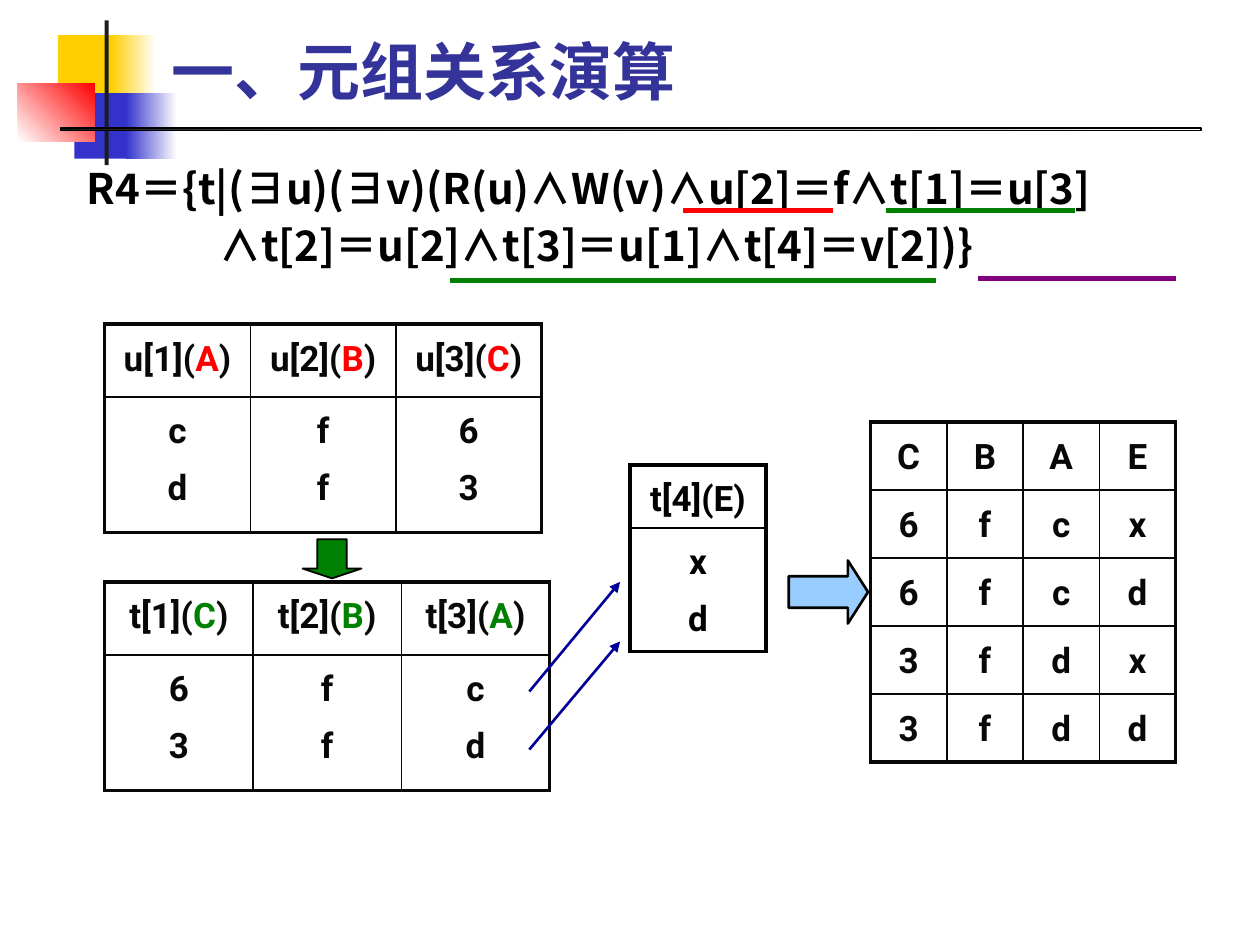
from lxml import etree
from pptx import Presentation
from pptx.dml.color import RGBColor
from pptx.enum.shapes import MSO_CONNECTOR, MSO_SHAPE
from pptx.enum.text import MSO_ANCHOR, PP_ALIGN
from pptx.oxml.ns import qn
from pptx.util import Cm, Pt

RECTANGLE = MSO_SHAPE.RECTANGLE
RIGHT_ARROW = MSO_SHAPE.RIGHT_ARROW
DOWN_ARROW = MSO_SHAPE.DOWN_ARROW
STRAIGHT = MSO_CONNECTOR.STRAIGHT
LEFT, CENTER, JUSTIFY = PP_ALIGN.LEFT, PP_ALIGN.CENTER, PP_ALIGN.JUSTIFY
TOP, BOTTOM = MSO_ANCHOR.TOP, MSO_ANCHOR.BOTTOM

LATIN_FONT = "Roboto"
CHINESE_FONT = "Noto Sans CJK SC"
BLACK, INK, WHITE = "000000", "080808", "FFFFFF"
RED, GREEN, PURPLE, NAVY = "FF0000", "008000", "800080", "000099"


def color(hex_string):
    return RGBColor.from_string(hex_string)


def format_paragraph(paragraph, size, hex_color, font_name, alignment):
    paragraph.alignment = alignment
    font = paragraph.font
    font.size, font.bold, font.name = Pt(size), True, font_name
    font.color.rgb = color(hex_color)
    # East Asian typeface
    properties = paragraph._p.pPr.find(qn("a:defRPr"))
    etree.SubElement(properties, qn("a:ea"), typeface=CHINESE_FONT)


def add_shape(slide, kind, box, fill, line=None, line_width=1):
    """Fill is one hex string, or (start, end, angle) for a gradient."""
    shape = slide.shapes.add_shape(kind, *(Cm(value) for value in box))
    shape.shadow.inherit = False
    if isinstance(fill, tuple):
        start, end, angle = fill
        shape.fill.gradient()
        shape.fill.gradient_angle = angle
        for stop, hex_color in zip(shape.fill.gradient_stops, (start, end)):
            stop.color.rgb = color(hex_color)
    else:
        shape.fill.solid()
        shape.fill.fore_color.rgb = color(fill)
    if line:
        shape.line.color.rgb = color(line)
        shape.line.width = Pt(line_width)
    else:
        shape.line.fill.background()
    return shape


def add_line(slide, start, end, hex_color, width, arrow=False):
    points = (Cm(value) for value in (*start, *end))
    connector = slide.shapes.add_connector(STRAIGHT, *points)
    connector.line.color.rgb = color(hex_color)
    connector.line.width = Pt(width)
    if arrow:
        etree.SubElement(connector.line._get_or_add_ln(), qn("a:tailEnd"), type="triangle")
    etree.SubElement(connector._element.spPr, qn("a:effectLst"))


def add_decoration(slide, left, top):
    parts = [
        # Yellow, blue and red blocks
        ((0.81, 0.3, 1.22, 1.32), "FFCF01", None),
        ((1.88, 0.3, 0.91, 1.32), ("FFCF01", WHITE, 0), None),
        ((1.14, 1.47, 1.17, 1.32), "3333CC", None),
        ((2.18, 1.47, 1.02, 1.32), ("3333CC", WHITE, 0), None),
        ((0, 1.27, 1.55, 1.17), (WHITE, RED, 45), None),
        # Vertical bar and title rule
        ((1.75, 0, 0.08, 2.92), "1C1C1C", None),
        ((0.86, 2.17, 22.99, 0.05), ("1C1C1C", WHITE, 0), BLACK),
    ]
    for (x, y, width, height), fill, line in parts:
        add_shape(slide, RECTANGLE, (left + x, top + y, width, height), fill, line, 0.75)


def add_title(slide, text, left, top, width, height):
    title = slide.shapes.title
    title.left, title.top = Cm(left), Cm(top)
    title.width, title.height = Cm(width), Cm(height)
    frame = title.text_frame
    frame.text = text
    frame.vertical_anchor = BOTTOM
    format_paragraph(frame.paragraphs[0], 36, "333399", LATIN_FONT, LEFT)


def add_formula(slide, left, top, width, height):
    box = slide.shapes.add_textbox(Cm(left), Cm(top), Cm(width), Cm(height))
    frame = box.text_frame
    frame.word_wrap = True
    frame.text = ("R4＝{t|(∃u)(∃v)(R(u)∧W(v)∧u[2]＝f∧t[1]＝u[3]\n"
                  "∧t[2]＝u[2]∧t[3]＝u[1]∧t[4]＝v[2])}")
    for paragraph in frame.paragraphs:
        paragraph.line_spacing = 1.1
        format_paragraph(paragraph, 24, BLACK, CHINESE_FONT, JUSTIFY)
    continuation = frame.paragraphs[1]
    continuation.space_before = Pt(1)
    continuation._p.pPr.set("marL", str(Cm(2.67)))

    # Underlines below the conditions
    for start, end, y, hex_color in [
        (12.27, 15.29, 1.19, RED),
        (16.36, 20.17, 1.19, GREEN),
        (7.57, 17.37, 2.61, GREEN),
        (18.21, 22.2, 2.56, PURPLE),
    ]:
        add_line(slide, (left + start, top + y), (left + end, top + y), hex_color, 3)


def set_borders(cell, widths, hex_color):
    """Widths run left, right, top, bottom."""
    properties = cell._tc.get_or_add_tcPr()
    for index, (side, width) in enumerate(zip("LRTB", widths)):
        border = etree.Element(qn(f"a:ln{side}"), w=str(Pt(width)))
        fill = etree.SubElement(border, qn("a:solidFill"))
        etree.SubElement(fill, qn("a:srgbClr"), val=hex_color)
        properties.insert(index, border)


def fill_cell(cell, text, ink, highlight):
    """Newlines split paragraphs; the part between bars is highlighted."""
    cell.fill.background()
    cell.vertical_anchor = TOP
    frame = cell.text_frame
    for index, line in enumerate(text.split("\n")):
        paragraph = frame.add_paragraph() if index else frame.paragraphs[0]
        paragraph.line_spacing = 1.2
        if index:
            paragraph.space_before = Pt(4)
        format_paragraph(paragraph, 20, ink, LATIN_FONT, CENTER)
        for position, part in enumerate(line.split("|")):
            run = paragraph.add_run()
            run.text = part
            if position == 1:
                run.font.color.rgb = color(highlight)


def add_relation(slide, left, top, width, row_heights, rows, ink=INK, highlight=INK):
    row_count, column_count = len(rows), len(rows[0])
    table = slide.shapes.add_table(row_count, column_count, Cm(left), Cm(top),
                                   Cm(width), Cm(sum(row_heights))).table
    table.first_row = table.horz_banding = False
    for row, height in zip(table.rows, row_heights):
        row.height = Cm(height)
    for row_index, texts in enumerate(rows):
        for column_index, text in enumerate(texts):
            cell = table.cell(row_index, column_index)
            fill_cell(cell, text, ink, highlight)
            outer_sides = (column_index == 0, column_index == column_count - 1,
                           row_index == 0, row_index == row_count - 1)
            set_borders(cell, [2.25 if outer else 1 for outer in outer_sides], ink)


def main():
    presentation = Presentation()
    presentation.slide_width, presentation.slide_height = Cm(25.4), Cm(19.05)
    slide = presentation.slides.add_slide(presentation.slide_layouts[5])

    add_decoration(slide, 0.36, 0.41)
    add_title(slide, "一、元组关系演算", 3.2, 0.58, 21.64, 1.73)
    add_formula(slide, 1.5, 3.05, 23.01, 2.79)

    # Source tuples u, projected tuples t, and the E column
    add_relation(slide, 2.11, 6.53, 8.81, [1.47, 2.74],
                 [["u[1](|A|)", "u[2](|B|)", "u[3](|C|)"], ["c\nd", "f\nf", "6\n3"]],
                 highlight=RED)
    add_relation(slide, 2.11, 11.73, 8.97, [1.47, 2.74],
                 [["t[1](|C|)", "t[2](|B|)", "t[3](|A|)"], ["6\n3", "f\nf", "c\nd"]],
                 highlight=GREEN)
    add_relation(slide, 12.7, 9.37, 2.74, [1.25, 2.49], [["t[4](E)"], ["x\nd"]], ink=BLACK)

    # Combined result
    add_relation(slide, 17.55, 8.51, 6.15, [1.37] * 5,
                 ["CBAE", "6fcx", "6fcd", "3fdx", "3fdd"])

    # Arrows between the relations
    for start_y, end_y in [(13.94, 11.73), (15.11, 12.93)]:
        add_line(slide, (10.67, start_y), (12.5, end_y), NAVY, 1.5, arrow=True)
    result_arrow = add_shape(slide, RIGHT_ARROW, (15.9, 11.3, 1.6, 1.27), "99CCFF", BLACK, 1.5)
    result_arrow.adjustments[1] = 0.32
    down_arrow = add_shape(slide, DOWN_ARROW, (6.1, 10.87, 1.19, 0.79), GREEN, BLACK)
    down_arrow.adjustments[1] = 0.25

    presentation.save("out.pptx")


if __name__ == "__main__":
    main()
